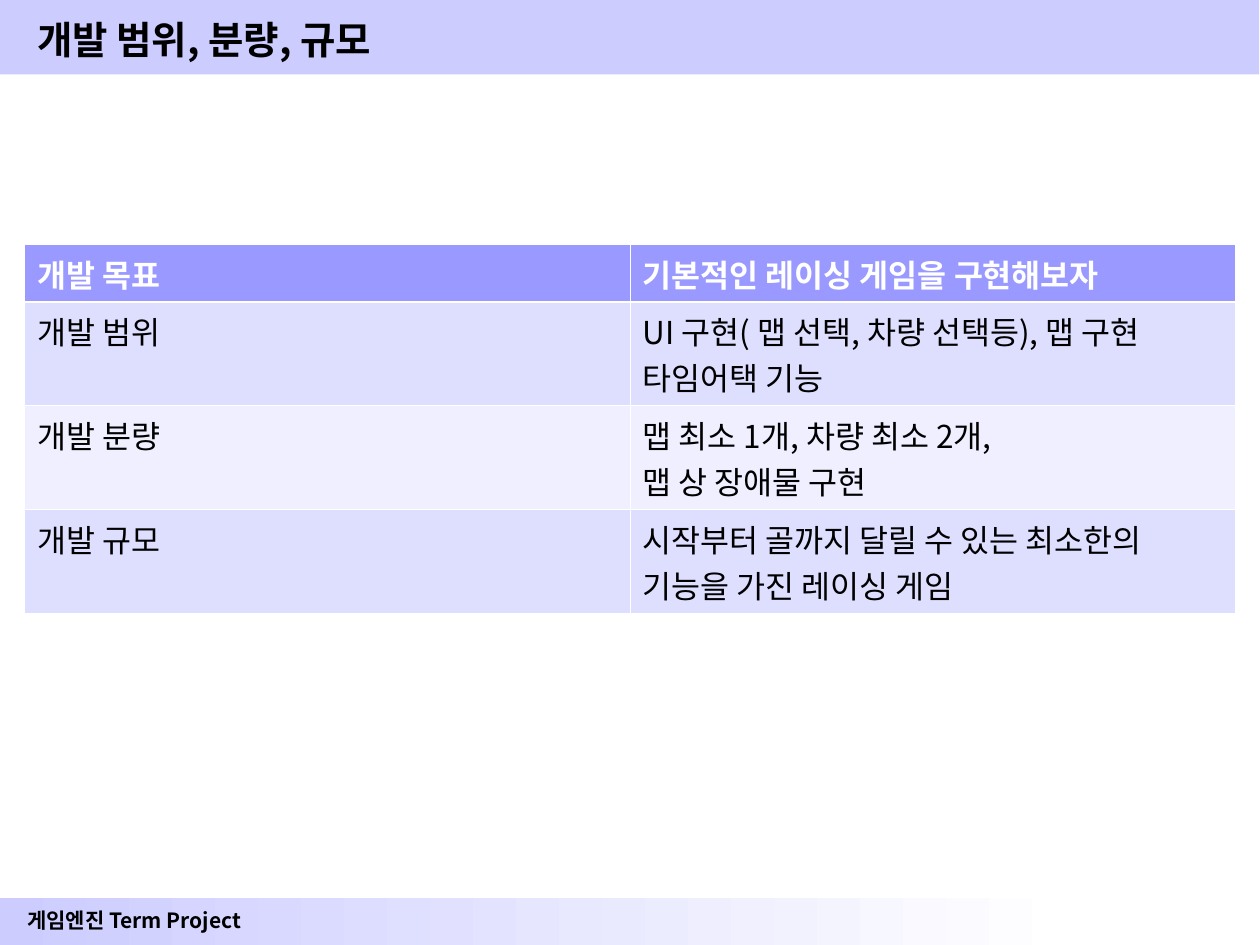
from dataclasses import dataclass

from lxml import etree
from pptx import Presentation
from pptx.dml.color import RGBColor
from pptx.enum import shapes, text
from pptx.oxml.ns import qn
from pptx.util import Pt


@dataclass(frozen=True)
class Theme:
    font: str = "Noto Sans CJK KR"
    ink: str = "000000"
    white: str = "FFFFFF"
    band: str = "CCCCFF"
    header: str = "9999FF"
    stripes: tuple = ("DEDEFF", "EFEFFF")
    title_size: int = 22
    table_size: int = 18
    footer_size: int = 12
    thin: float = 0.45
    thick: float = 1.47


T = Theme()

ROWS = [
    ("개발 목표", "기본적인 레이싱 게임을 구현해보자"),
    ("개발 범위", "UI 구현( 맵 선택, 차량 선택등), 맵 구현\n타임어택 기능"),
    ("개발 분량", "맵 최소 1개, 차량 최소 2개,\n맵 상 장애물 구현"),
    ("개발 규모", "시작부터 골까지 달릴 수 있는 최소한의 기능을 가진 레이싱 게임"),
]


def rgb(color):
    return RGBColor.from_string(color)


def write(tf, content, size, color=T.ink, bold=False, align=None):
    tf.text = content
    for p in tf.paragraphs:
        p.alignment = align
        f = p.font
        f.size, f.bold, f.name = Pt(size), bold, T.font
        f.color.rgb = rgb(color)
        # Korean glyphs take the East Asian typeface, without pair kerning
        props = p._p.pPr.defRPr
        props.set("kern", "0")
        ea = etree.Element(qn("a:ea"), typeface=T.font)
        props.find(qn("a:latin")).addnext(ea)


def add_band(slide, x, y, w, h, fade_to=None):
    sp = slide.shapes.add_shape(shapes.MSO_SHAPE.RECTANGLE,
                                Pt(x), Pt(y), Pt(w), Pt(h))
    sp.shadow.inherit = False
    sp.line.fill.background()
    if fade_to is None:
        sp.fill.solid()
        sp.fill.fore_color.rgb = rgb(T.band)
    else:
        sp.fill.gradient()
        sp.fill.gradient_angle = 0
        for stop, color in zip(sp.fill.gradient_stops, (T.band, fade_to)):
            stop.color.rgb = rgb(color)


def add_label(slide, x, y, w, h, content, size, align=None):
    tf = slide.shapes.add_textbox(Pt(x), Pt(y), Pt(w), Pt(h)).text_frame
    tf.word_wrap = True
    tf.vertical_anchor = text.MSO_ANCHOR.MIDDLE
    write(tf, content, size, bold=True, align=align)


def set_borders(cell, **widths):
    """Draw white borders; widths maps L, R, T and B to points."""
    tc_pr = cell._tc.get_or_add_tcPr()
    for i, side in enumerate("LRTB"):
        ln = etree.Element(qn(f"a:ln{side}"), w=str(Pt(widths.get(side, T.thin))))
        fill = etree.SubElement(ln, qn("a:solidFill"))
        etree.SubElement(fill, qn("a:srgbClr"), val=T.white)
        tc_pr.insert(i, ln)


def add_goal_table(slide, x, y, w, heights):
    n_cols = len(ROWS[0])
    frame = slide.shapes.add_table(len(ROWS), n_cols, Pt(x), Pt(y),
                                   Pt(w), Pt(sum(heights)))
    table = frame.table
    for col in table.columns:
        col.width = Pt(w / n_cols)
    for i, (row, height) in enumerate(zip(ROWS, heights)):
        table.rows[i].height = Pt(height)
        head = i == 0
        for j, content in enumerate(row):
            cell = table.cell(i, j)
            cell.fill.solid()
            cell.fill.fore_color.rgb = rgb(T.header if head else T.stripes[(i - 1) % 2])
            write(cell.text_frame, content, T.table_size,
                  T.white if head else T.ink, bold=head)
            set_borders(cell, B=T.thick if head else T.thin,
                        T=T.thick if i == 1 else T.thin)


def main():
    prs = Presentation()
    prs.slide_width, prs.slide_height = Pt(720), Pt(540)
    s = prs.slides.add_slide(prs.slide_layouts[6])
    add_band(s, 0, 513, 614, 27, fade_to=T.white)
    add_band(s, 0, 0, 719.5, 42.5)
    add_label(s, 3, 515, 147.5, 21.6, "게임엔진 Term Project", T.footer_size,
              text.PP_ALIGN.CENTER)
    add_label(s, 14.2, 3.6, 698, 37.4, "개발 범위, 분량, 규모", T.title_size)
    add_goal_table(s, 14.1, 139.8, 692, [32.6, 59.4, 59.4, 59.4])
    prs.save("out.pptx")


if __name__ == "__main__":
    main()
